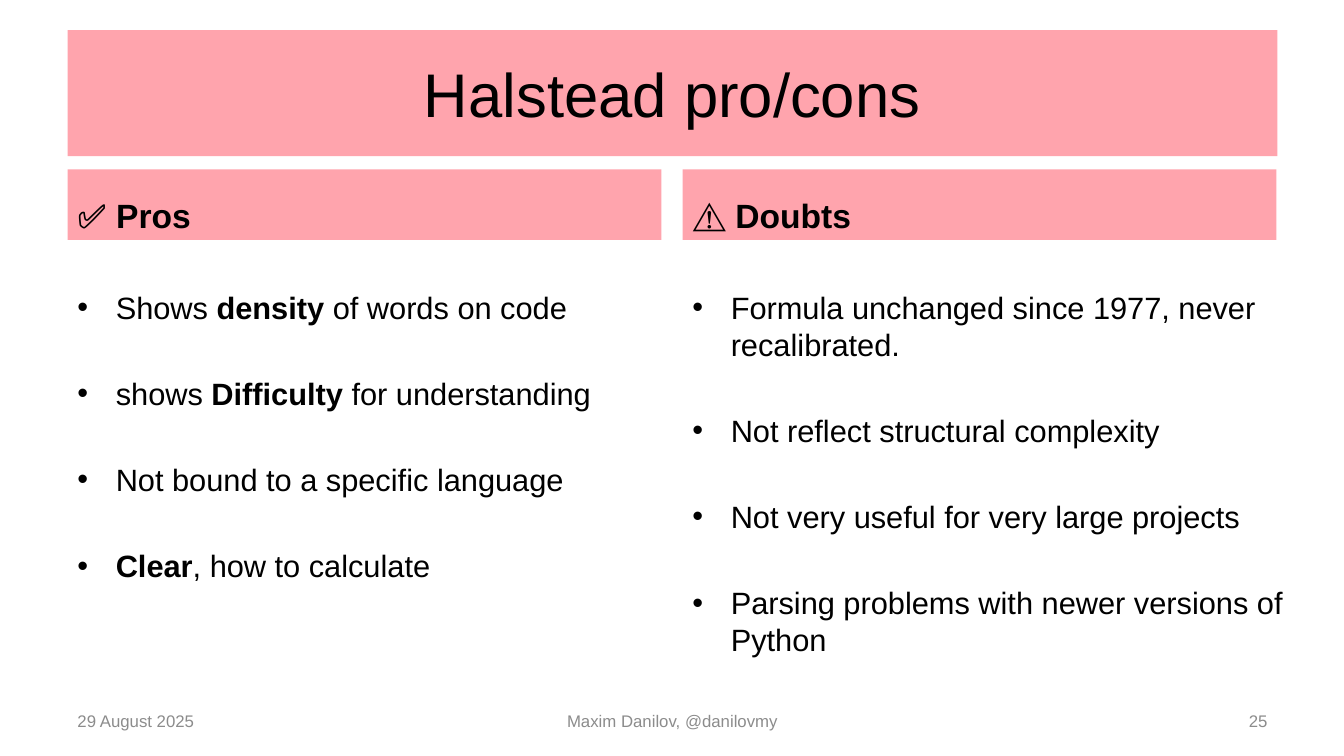
from lxml.etree import SubElement
from pptx import Presentation
from pptx.dml.color import RGBColor
from pptx.enum.shapes import MSO_SHAPE
from pptx.enum.text import MSO_ANCHOR, PP_ALIGN
from pptx.oxml.ns import qn
from pptx.util import Inches, Pt

TITLE = "Halstead pro/cons"
COLS = [
    ("✅ Pros", 5.89, [
        [("Shows ", False), ("density", True), (" of words on code", False)],
        [("shows ", False), ("Difficulty", True), (" for understanding", False)],
        [("Not bound to a specific language", False)],
        [("Clear", True), (", how to calculate", False)],
    ]),
    ("⚠️ Doubts", 6.56, [
        [("Formula unchanged since 1977, never recalibrated.", False)],
        [("Not reflect structural complexity", False)],
        [("Not very useful for very large projects", False)],
        [("Parsing problems with newer versions of Python", False)],
    ]),
]
FOOT = [
    ("29 August 2025", 0.67, 3.11, PP_ALIGN.LEFT),
    ("Maxim Danilov, @danilovmy", 4.56, 4.22, PP_ALIGN.CENTER),
    ("25", 9.56, 3.11, PP_ALIGN.RIGHT),
]
COLOR = {"band": "FFA4AD", "text": "000000", "foot": "8C8C8C"}
FONT = "Arial"
LEFT, STEP = 0.67, 6.1


def add_run(para, text, size, bold=False, color="text"):
    """Add one styled run to a paragraph."""
    run = para.add_run()
    run.text = text
    font = run.font
    font.name, font.size, font.bold = FONT, Pt(size), bold
    font.color.rgb = RGBColor.from_string(COLOR[color])


def add_box(slide, at, anchor, fill=None):
    """Add a text box, or a filled band, and return its text frame."""
    place = [Inches(v) for v in at]
    if fill:
        box = slide.shapes.add_shape(MSO_SHAPE.RECTANGLE, *place)
        box.shadow.inherit = False
        box.fill.solid()
        box.fill.fore_color.rgb = RGBColor.from_string(COLOR[fill])
        box.line.fill.background()
    else:
        box = slide.shapes.add_textbox(*place)
    frame = box.text_frame
    frame.word_wrap = True
    frame.vertical_anchor = anchor
    return frame


def add_line(slide, at, anchor, align, text, size, bold=False, color="text", fill=None):
    """Add a box that holds a single line of text."""
    para = add_box(slide, at, anchor, fill).paragraphs[0]
    para.alignment = align
    add_run(para, text, size, bold, color)


def add_list(slide, at, items):
    """Add a box with evenly spaced bullets."""
    frame = add_box(slide, at, MSO_ANCHOR.TOP)
    frame.margin_top = Inches(0.48)
    for i, runs in enumerate(items):
        para = frame.add_paragraph() if i else frame.paragraphs[0]
        props = para._p.get_or_add_pPr()
        props.set("marL", str(Inches(0.38)))
        props.set("indent", str(-Inches(0.38)))
        SubElement(props, qn("a:buFont")).set("typeface", FONT)
        SubElement(props, qn("a:buChar")).set("char", "•")
        para.line_spacing = Pt(26.4)
        if i:
            para.space_before = Pt(35.2)
        for text, bold in runs:
            add_run(para, text, 22, bold)


def main():
    """Build the slide and save it."""
    deck = Presentation()
    deck.slide_width, deck.slide_height = Inches(13.33), Inches(7.5)
    slide = deck.slides.add_slide(deck.slide_layouts[6])
    add_line(slide, (LEFT, 0.3, 12, 1.25), MSO_ANCHOR.MIDDLE, PP_ALIGN.CENTER,
             TITLE, 44, fill="band")
    for i, (head, width, items) in enumerate(COLS):
        x = LEFT + i * STEP
        add_line(slide, (x, 1.68, 5.89, 0.7), MSO_ANCHOR.BOTTOM, PP_ALIGN.LEFT,
                 head, 24, True, fill="band")
        add_list(slide, (x, 2.38, width, 4.32), items)
    for text, x, width, align in FOOT:
        add_line(slide, (x, 6.95, width, 0.4), MSO_ANCHOR.MIDDLE, align,
                 text, 12, color="foot")
    deck.save("out.pptx")


if __name__ == "__main__":
    main()
